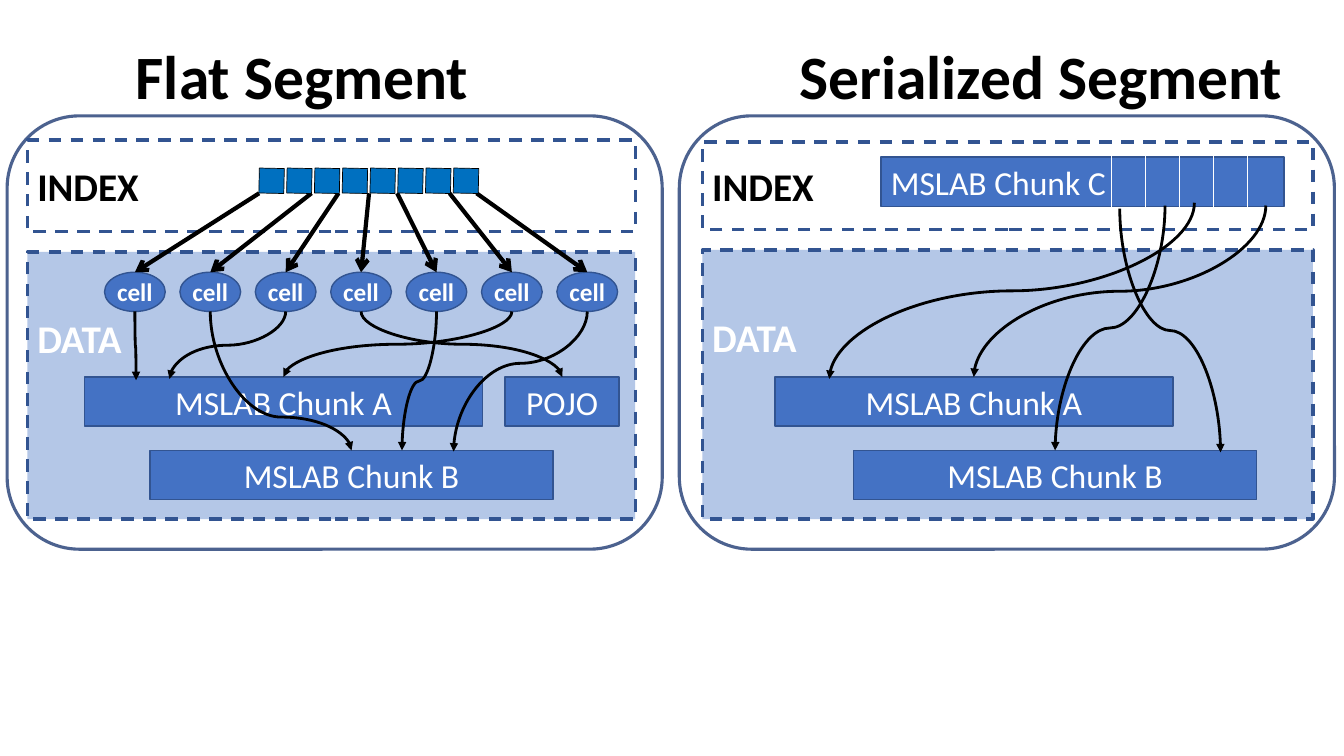
from lxml import etree
from pptx import Presentation
from pptx.dml.color import RGBColor
from pptx.enum.dml import MSO_LINE
from pptx.enum.shapes import MSO_CONNECTOR, MSO_SHAPE
from pptx.enum.text import MSO_ANCHOR, PP_ALIGN
from pptx.oxml.ns import qn
from pptx.util import Cm, Pt

RECT = MSO_SHAPE.RECTANGLE
ROUNDED = MSO_SHAPE.ROUNDED_RECTANGLE
OVAL = MSO_SHAPE.OVAL
DIAMOND = MSO_SHAPE.DIAMOND
STRAIGHT = MSO_CONNECTOR.STRAIGHT
CURVE = MSO_CONNECTOR.CURVE
DASH = MSO_LINE.DASH
MIDDLE = MSO_ANCHOR.MIDDLE
TOP = MSO_ANCHOR.TOP
LEFT = PP_ALIGN.LEFT
CENTER = PP_ALIGN.CENTER

COLORS = {
    "panel": "002060",
    "edge": "325491",
    "data": "B4C7E7",
    "block": "4472C4",
    "index": "0070C0",
    "black": "000000",
    "white": "FFFFFF",
}

CELL_CENTERS = [3.4 + 1.9 * i for i in range(7)]
CELL_TOP, CELL_WIDTH, CELL_HEIGHT = 6.86, 1.53, 0.99
CELL_BOTTOM = CELL_TOP + CELL_HEIGHT
INDEX_STARTS = [6.53, 7.85, 8.53, 9.3, 10.01, 11.33, 12.01]
CELL_TARGETS = [
    (3.43, 9.58, 0.5),
    (8.86, 11.35, 0.76),
    (4.27, 9.55, 0.5),
    (14.17, 9.5, 0.5),
    (10.13, 11.35, 0.5),
    (7.14, 9.5, 0.5),
    (11.43, 11.38, 0.37),
]
CHUNK_C_POINTERS = [
    ((28.22, 5.26), (30.76, 11.4)),
    ((30.1, 5.11), (20.9, 9.55)),
    ((29.36, 5.18), (26.59, 11.35)),
    ((31.9, 5.18), (24.54, 9.5)),
]


def rgb(name):
    return RGBColor.from_string(COLORS[name])


def apply(target, values):
    for name, value in values.items():
        setattr(target, name, value)


def write(shape, text, size, color="white", bold=False, align=CENTER, **frame_format):
    frame = shape.text_frame
    apply(frame, {"word_wrap": True, "vertical_anchor": MIDDLE, **frame_format})
    paragraph = frame.paragraphs[0]
    paragraph.alignment = align
    run = paragraph.add_run()
    run.text = text
    apply(run.font, {"name": "Calibri", "size": Pt(size), "bold": bold})
    run.font.color.rgb = rgb(color)


def add_box(slide, kind, box, fill=None, edge="edge", weight=1, dash=None):
    shape = slide.shapes.add_shape(kind, *(Cm(v) for v in box))
    shape.shadow.inherit = False
    if fill:
        shape.fill.solid()
        shape.fill.fore_color.rgb = rgb(fill)
    else:
        shape.fill.background()
    shape.line.color.rgb = rgb(edge)
    apply(shape.line, {"width": Pt(weight), "dash_style": dash})
    return shape


def add_title(slide, left, text):
    title = slide.shapes.add_textbox(Cm(left), Cm(0.84), Cm(14), Cm(2.54))
    write(title, text, 44, "black", True, vertical_anchor=TOP)


def add_panel(slide, left):
    panel = add_box(slide, ROUNDED, (left, 2.92, 16.51, 10.92), edge="panel", weight=2.25)
    edge_color = next(panel.element.spPr.find(qn("a:ln")).iter(qn("a:srgbClr")))
    etree.SubElement(edge_color, qn("a:alpha"), val="70000")


def add_zone(slide, box, text, color, fill=None, bottom=0.13):
    zone = add_box(slide, RECT, box, fill, weight=2.25, dash=DASH)
    write(zone, text, 28, color, True, LEFT, margin_bottom=Cm(bottom))


def add_chunk(slide, left, top, width, text, align=CENTER):
    chunk = add_box(slide, RECT, (left, top, width, 1.24), "block")
    write(chunk, text, 24, align=align)


def add_cell(slide, center):
    box = (center - CELL_WIDTH / 2, CELL_TOP, CELL_WIDTH, CELL_HEIGHT)
    sides = ("left", "right", "top", "bottom")
    write(add_box(slide, OVAL, box, "block"), "cell", 18, bold=True,
          **{f"margin_{side}": 0 for side in sides})


def add_line(slide, start, end, weight, kind=STRAIGHT, color="black", head=None):
    line = slide.shapes.add_connector(kind, *(Cm(v) for v in (*start, *end)))
    line.line.color.rgb = rgb(color)
    line.line.width = Pt(weight)
    properties = line.element.spPr
    if head:
        etree.SubElement(properties.find(qn("a:ln")), qn("a:tailEnd"), type=head)
    etree.SubElement(properties, qn("a:effectLst"))
    return line


def add_pointer(slide, start, end, bend=0.5):
    (x1, y1), (x2, y2) = start, end
    middle_x, middle_y = (x1 + x2) / 2, (y1 + y2) / 2
    rightward = x2 > x1
    reach = (y2 - y1) / 2 * (-1 if rightward else 1)
    spread = abs(x2 - x1) / 2
    pointer = add_line(slide, (middle_x - reach, middle_y - spread),
                       (middle_x + reach, middle_y + spread), 2, CURVE, head="triangle")
    properties = pointer.element.spPr
    properties.find(qn("a:xfrm")).set("rot", str((270 if rightward else 90) * 60000))
    guides = properties.find(qn("a:prstGeom")).find(qn("a:avLst"))
    etree.SubElement(guides, qn("a:gd"), name="adj1", fmla=f"val {round(bend * 100000)}")


def add_flat_segment(slide):
    add_panel(slide, 0.18)
    add_title(slide, 0.62, "Flat Segment")
    add_zone(slide, (0.69, 6.35, 15.32, 6.73), "DATA", "white", "data", 2.54)
    add_zone(slide, (0.69, 3.53, 15.32, 2.31), "INDEX", "black")
    for center in CELL_CENTERS:
        add_cell(slide, center)
    add_chunk(slide, 2.13, 9.5, 10.03, "MSLAB Chunk A")
    add_chunk(slide, 3.78, 11.35, 10.16, "MSLAB Chunk B")
    add_chunk(slide, 12.73, 9.5, 2.87, "POJO")
    for center, (x, y, bend) in zip(CELL_CENTERS, CELL_TARGETS):
        add_pointer(slide, (center, CELL_BOTTOM), (x, y), bend)
    for start, center in zip(INDEX_STARTS, CELL_CENTERS):
        add_line(slide, (start, 4.87), (center, CELL_TOP), 3, head="arrow")
    for i in range(8):
        slot = add_box(slide, DIAMOND, (6.4 + 0.7 * i, 4.11, 0.89, 0.89),
                       "index", "black", 0.5)
        slot.rotation = 316.2


def add_serialized_segment(slide):
    add_panel(slide, 17.12)
    add_title(slide, 19.24, "Serialized Segment")
    add_zone(slide, (17.7, 6.3, 15.39, 6.78), "DATA", "white", "data", 2.54)
    add_zone(slide, (17.7, 3.58, 15.39, 2.21), "INDEX", "black")
    add_chunk(slide, 19.53, 9.5, 10.03, "MSLAB Chunk A")
    add_chunk(slide, 21.51, 11.35, 10.16, "MSLAB Chunk B")
    add_chunk(slide, 22.2, 3.96, 10.16, "MSLAB Chunk C", LEFT)
    for start, end in CHUNK_C_POINTERS:
        add_pointer(slide, start, end)
    for i in range(5):
        x = 28 + 0.86 * i
        add_line(slide, (x, 3.86), (x, 5.5), 0.5, color="white")


def main():
    deck = Presentation()
    apply(deck, {"slide_width": Cm(33.87), "slide_height": Cm(19.05)})
    slide = deck.slides.add_slide(deck.slide_layouts[6])
    add_flat_segment(slide)
    add_serialized_segment(slide)
    deck.save("out.pptx")


if __name__ == "__main__":
    main()
